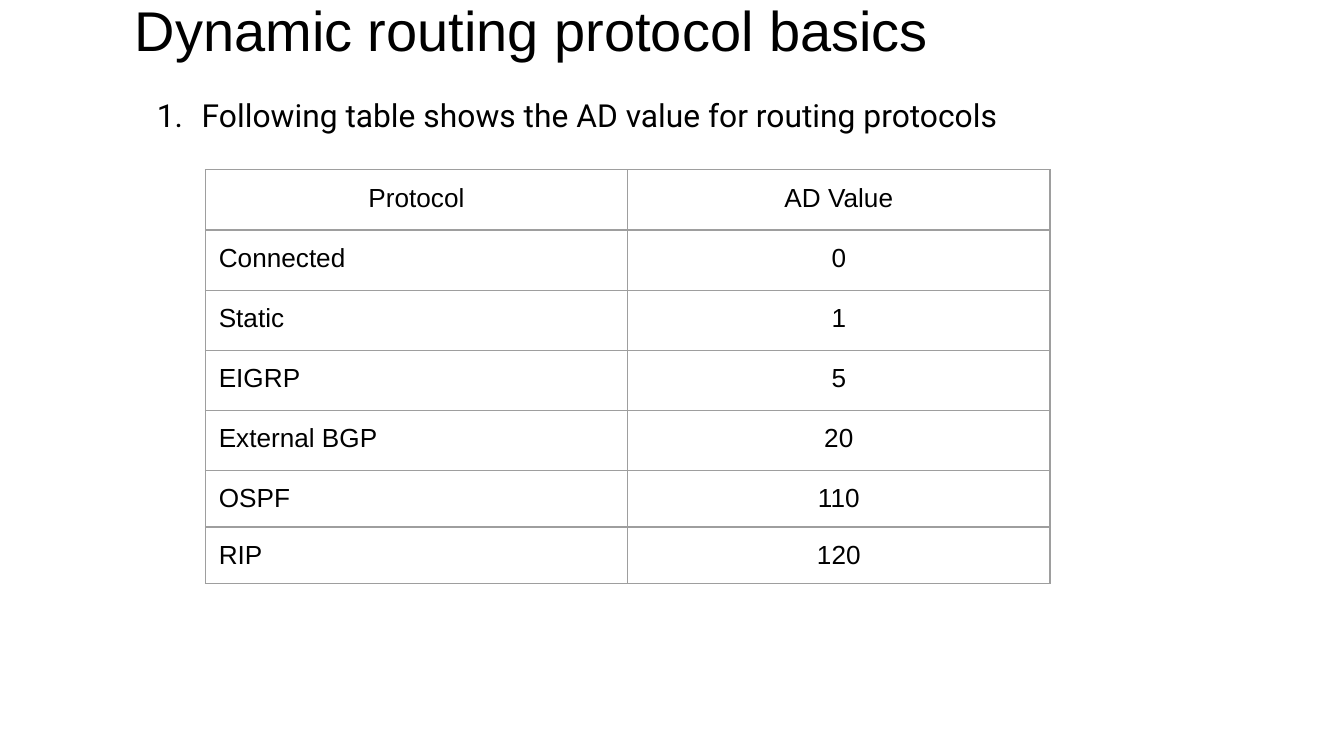
"""Build a slide listing administrative distances of routing protocols."""
from lxml import etree
from pptx import Presentation
from pptx.dml.color import RGBColor
from pptx.enum import text
from pptx.oxml import ns
from pptx.util import Pt

BLACK = RGBColor(0x00, 0x00, 0x00)
GREY = RGBColor(0x9E, 0x9E, 0x9E)
ROWS = [
    ("Protocol", "AD Value"),
    ("Connected", "0"),
    ("Static", "1"),
    ("EIGRP", "5"),
    ("External BGP", "20"),
    ("OSPF", "110"),
    ("RIP", "120"),
]
LEFT, CENTER = text.PP_ALIGN.LEFT, text.PP_ALIGN.CENTER


class Deck:
    def __init__(self, width, height):
        self.prs = Presentation()
        self.prs.slide_width, self.prs.slide_height = Pt(width), Pt(height)
        self.s = self.prs.slides.add_slide(self.prs.slide_layouts[5])
        self.inset = Pt(7.2)

    def frame(self, tf, anchor):
        tf.word_wrap = True
        tf.auto_size = text.MSO_AUTO_SIZE.NONE
        tf.vertical_anchor = anchor
        tf.margin_left = tf.margin_right = self.inset
        tf.margin_top = tf.margin_bottom = self.inset

    def run(self, p, words, size, font="Arial", align=LEFT):
        p.alignment = align
        r = p.add_run()
        r.text = words
        r.font.size, r.font.name = Pt(size), font
        r.font.color.rgb = BLACK

    def title(self, words, x, y, w, h):
        sp = self.s.shapes.title
        sp.left, sp.top, sp.width, sp.height = Pt(x), Pt(y), Pt(w), Pt(h)
        self.frame(sp.text_frame, text.MSO_ANCHOR.BOTTOM)
        self.run(sp.text_frame.paragraphs[0], words, 30)

    def numbered(self, items, x, y, w, h):
        tf = self.s.shapes.add_textbox(Pt(x), Pt(y), Pt(w), Pt(h)).text_frame
        self.frame(tf, text.MSO_ANCHOR.TOP)
        for i, words in enumerate(items):
            p = tf.add_paragraph() if i else tf.paragraphs[0]
            pPr = p._p.get_or_add_pPr()
            pPr.set("marL", str(Pt(36)))
            pPr.set("indent", str(Pt(-24)))
            font = etree.SubElement(pPr, ns.qn("a:buFont"))
            font.set("typeface", "Roboto")
            number = etree.SubElement(pPr, ns.qn("a:buAutoNum"))
            number.set("type", "arabicPeriod")
            p.line_spacing = 1.15
            self.run(p, words, 17, "Roboto")

    def borders(self, cell):
        tcPr = cell._tc.get_or_add_tcPr()
        for side in "LRTB":
            ln = etree.SubElement(tcPr, ns.qn("a:ln" + side), w=str(Pt(0.75)))
            fill = etree.SubElement(ln, ns.qn("a:solidFill"))
            etree.SubElement(fill, ns.qn("a:srgbClr"), val=str(GREY))

    def table(self, rows, x, y, widths, heights):
        tbl = self.s.shapes.add_table(
            len(rows), len(widths), Pt(x), Pt(y), Pt(sum(widths)), Pt(sum(heights))
        ).table
        tbl.first_row = tbl.horz_banding = False
        for col, w in zip(tbl.columns, widths):
            col.width = Pt(w)
        for i, (row, h) in enumerate(zip(rows, heights)):
            tbl.rows[i].height = Pt(h)
            for j, words in enumerate(row):
                cell = tbl.cell(i, j)
                cell.margin_left = cell.margin_right = self.inset
                cell.margin_top = cell.margin_bottom = self.inset
                self.borders(cell)
                cell.fill.background()
                align = LEFT if i and not j else CENTER
                self.run(cell.text_frame.paragraphs[0], words, 14, align=align)


def main():
    deck = Deck(720, 405)
    deck.title("Dynamic routing protocol basics", 65, 0, 590, 41)
    deck.numbered(
        ["Following table shows the AD value for routing protocols"], 65, 41, 590, 330
    )
    deck.table(ROWS, 110, 91, [226.25] * 2, [32.25] * 5 + [30] * 2)
    deck.prs.save("out.pptx")


if __name__ == "__main__":
    main()
